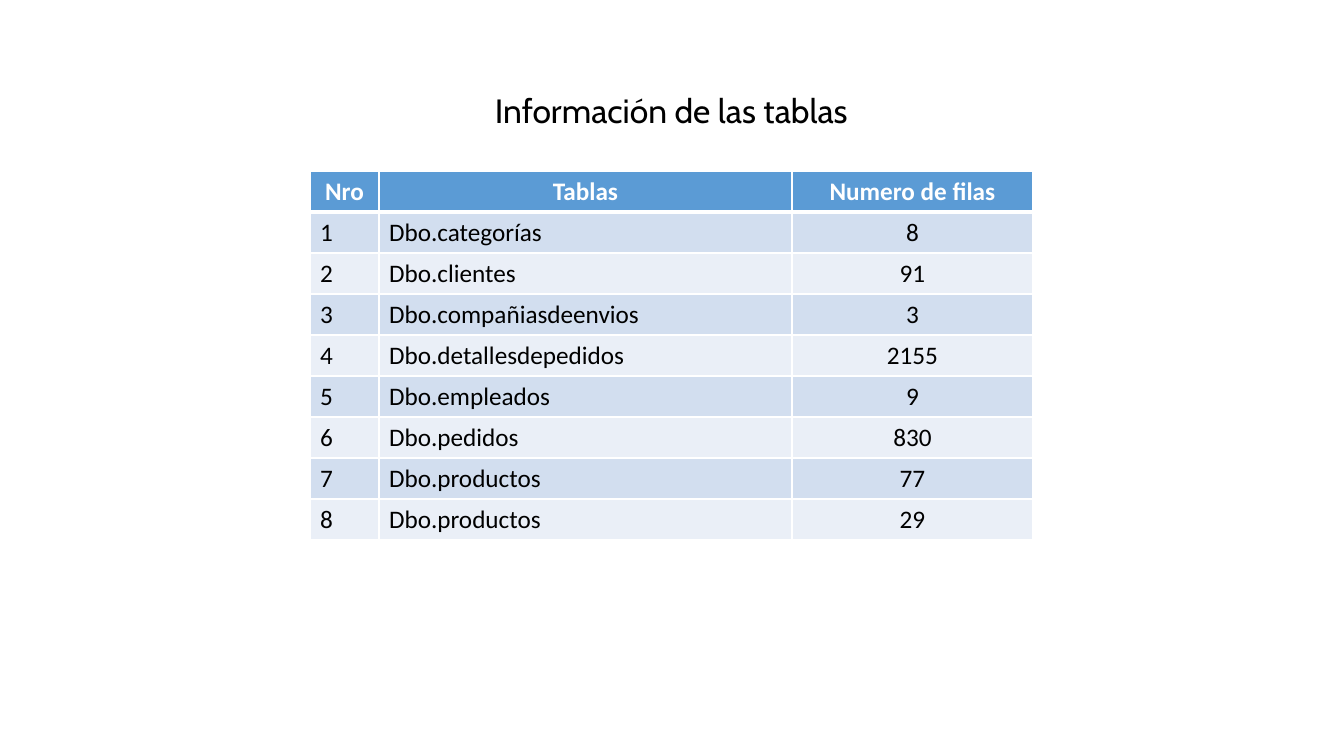
from lxml import etree
from pptx import Presentation
from pptx import util as u
from pptx.dml.color import RGBColor
from pptx.enum import text
from pptx.oxml.ns import qn

TITLE = "Información de las tablas"
HEADINGS = ("Nro", "Tablas", "Numero de filas")
ROW_COUNTS = [
    ("Dbo.categorías", 8),
    ("Dbo.clientes", 91),
    ("Dbo.compañiasdeenvios", 3),
    ("Dbo.detallesdepedidos", 2155),
    ("Dbo.empleados", 9),
    ("Dbo.pedidos", 830),
    ("Dbo.productos", 77),
    ("Dbo.productos", 29),
]
BLACK, WHITE = "000000", "FFFFFF"
HEADING_FILL, BANDS = "5B9BD5", ("D2DEEF", "EAEFF7")
TITLE_BOX = (485, 85, 374, 50)
TABLE_LEFT, TABLE_TOP, ROW_HEIGHT = 310, 171, 41
COLUMN_WIDTHS = (69, 413, 241)
LEFT, CENTER = text.PP_ALIGN.LEFT, text.PP_ALIGN.CENTER


def px(pixels):
    """Turn pixels into EMU."""
    return u.Emu(round(pixels * 914400 / 100.8))


def color(code):
    """Turn a hex string into a colour."""
    return RGBColor.from_string(code)


def write(frame, words, size=18, font="Calibri", ink=BLACK, bold=False, align=LEFT):
    """Write one formatted line into a text frame."""
    line = frame.paragraphs[0]
    line.alignment = align
    run = line.add_run()
    run.text = words
    run.font.size, run.font.name, run.font.bold = u.Pt(size), font, bold
    run.font.color.rgb = color(ink)


def add_borders(cell, bottom):
    """Draw white cell borders, with a bottom line of the given points."""
    properties = cell._tc.get_or_add_tcPr()
    for index, (side, width) in enumerate(
        (("lnL", 1), ("lnR", 1), ("lnT", 1), ("lnB", bottom))
    ):
        border = etree.Element(qn(f"a:{side}"), w=str(u.Pt(width)))
        fill = etree.SubElement(border, qn("a:solidFill"))
        etree.SubElement(fill, qn("a:srgbClr"), val=WHITE)
        properties.insert(index, border)


def fill_row(cells, values, fill, aligns, bottom=1, **style):
    """Fill one table row with values, colour and borders."""
    for cell, value, align in zip(cells, values, aligns):
        cell.fill.solid()
        cell.fill.fore_color.rgb = color(fill)
        add_borders(cell, bottom)
        write(cell.text_frame, str(value), align=align, **style)


deck = Presentation()
deck.slide_width, deck.slide_height = px(1344), px(756)
slide = deck.slides.add_slide(deck.slide_layouts[6])

row_total = len(ROW_COUNTS) + 1
table = slide.shapes.add_table(
    row_total, len(HEADINGS), px(TABLE_LEFT), px(TABLE_TOP),
    px(sum(COLUMN_WIDTHS)), px(ROW_HEIGHT * row_total),
).table
for column, width in zip(table.columns, COLUMN_WIDTHS):
    column.width = px(width)
for row in table.rows:
    row.height = px(ROW_HEIGHT)

fill_row(table.rows[0].cells, HEADINGS, HEADING_FILL, [CENTER] * 3,
         bottom=3, ink=WHITE, bold=True)
for number, (name, count) in enumerate(ROW_COUNTS, start=1):
    fill_row(table.rows[number].cells, (number, name, count),
             BANDS[(number - 1) % 2], (LEFT, LEFT, CENTER))

title = slide.shapes.add_textbox(*map(px, TITLE_BOX)).text_frame
title.word_wrap = False
title.auto_size = text.MSO_AUTO_SIZE.SHAPE_TO_FIT_TEXT
write(title, TITLE, size=24, font="Cabin")

deck.save("out.pptx")
